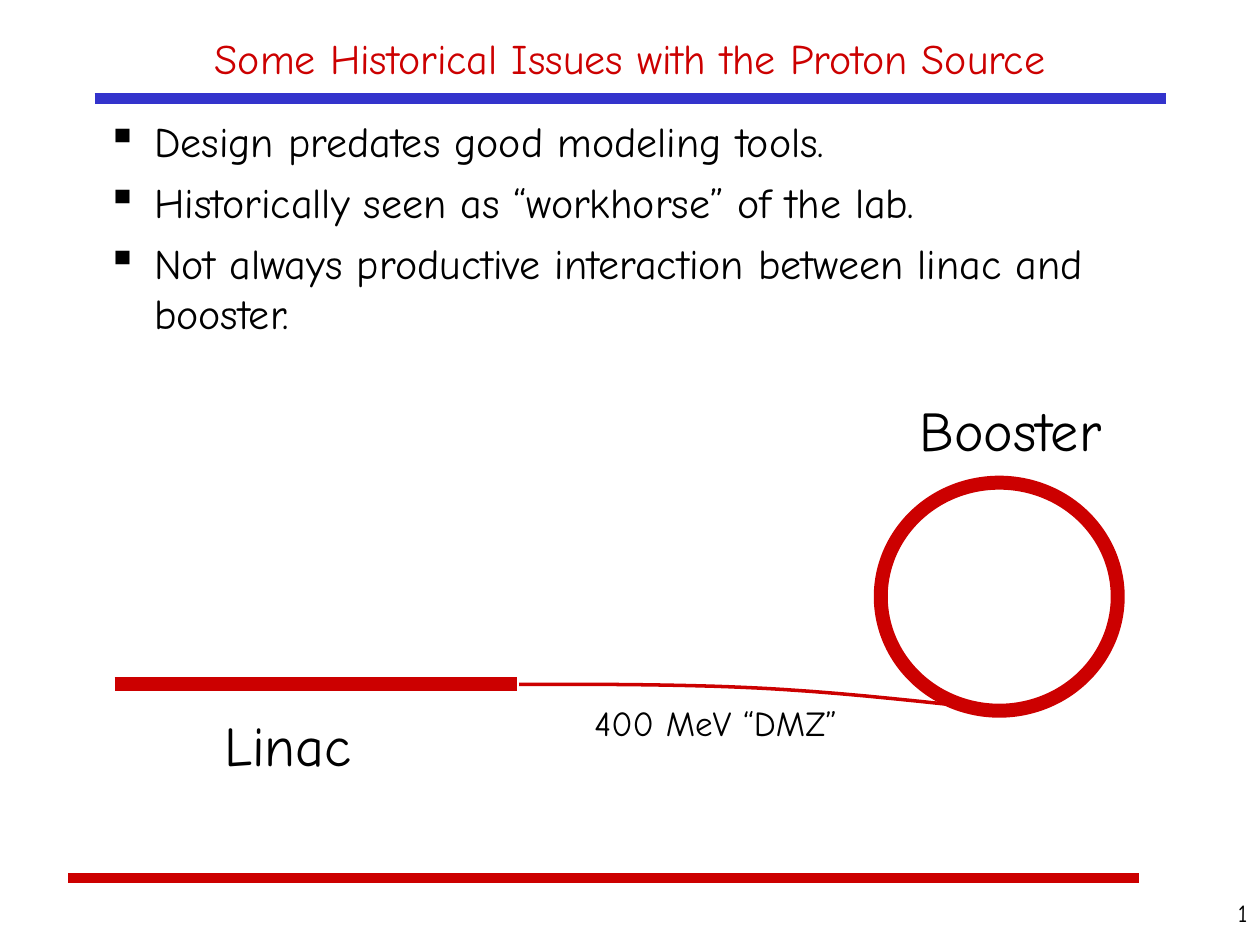
from typing import NamedTuple

from lxml import etree
from pptx import Presentation
from pptx.dml.color import RGBColor
from pptx.enum import shapes, text
from pptx.oxml import ns
from pptx.util import Pt

FONT = "Comic Neue"
RED, BLUE, BLACK = "CC0000", "3333CC", "000000"


class Bar(NamedTuple):
    left: float
    y: float
    right: float
    color: str
    weight: float


class Label(NamedTuple):
    words: str
    left: float
    top: float
    width: float
    height: float
    size: float


class Point(NamedTuple):
    x: float
    y: float


BARS = [
    Bar(38.9, 501.8, 650.9, RED, 6),   # footer rule
    Bar(54, 56.2, 666, BLUE, 6),       # title rule
    Bar(65.5, 391, 295.2, RED, 8),     # linac
]
LABELS = [
    Label("Linac", 121, 402.5, 95, 46, 32),
    Label("Booster", 518.4, 222.5, 142, 46, 32),
    Label("400 MeV “DMZ”", 332.6, 397.4, 170, 31.7, 20),
]
ISSUES = [
    "Design predates good modeling tools.",
    "Historically seen as “workhorse” of the lab.",
    "Not always productive interaction between linac and booster.",
]
# Each transfer-line section is a cubic curve: start, two controls, end
TRANSFER_LINE = [
    (Point(296.6, 391), Point(342.7, 391), Point(388.8, 391), Point(432, 393.1)),
    (Point(432, 393.1), Point(475.2, 395.3), Point(514.8, 399.6), Point(555.1, 403.9)),
]


def rgb(color: str) -> RGBColor:
    return RGBColor.from_string(color)


def set_line(shape, color: str, weight: float) -> None:
    shape.line.color.rgb = rgb(color)
    shape.line.width = Pt(weight)


def add_bullet(paragraph, char: str, indent: float) -> None:
    props = paragraph._p.get_or_add_pPr()
    props.set("marL", str(Pt(indent)))
    props.set("indent", str(-Pt(indent)))
    etree.SubElement(props, ns.qn("a:buChar")).set("char", char)


def add_text(slide, words: list[str], left: float, top: float, width: float,
             height: float, *, size: float, color: str = BLACK,
             align=text.PP_ALIGN.LEFT, anchor=text.MSO_ANCHOR.TOP,
             bullet: str = "", gap: float = 0) -> None:
    box = slide.shapes.add_textbox(Pt(left), Pt(top), Pt(width), Pt(height))
    frame = box.text_frame
    frame.word_wrap = True
    frame.vertical_anchor = anchor
    for index, line in enumerate(words):
        paragraph = frame.add_paragraph() if index else frame.paragraphs[0]
        paragraph.text = line
        paragraph.alignment = align
        if index:
            paragraph.space_before = Pt(gap)
        if bullet:
            add_bullet(paragraph, bullet, 27)
        paragraph.font.name = FONT
        paragraph.font.size = Pt(size)
        paragraph.font.color.rgb = rgb(color)


def add_bar(slide, bar: Bar) -> None:
    line = slide.shapes.add_connector(
        shapes.MSO_CONNECTOR.STRAIGHT,
        Pt(bar.left), Pt(bar.y), Pt(bar.right), Pt(bar.y))
    set_line(line, bar.color, bar.weight)
    etree.SubElement(line._element.spPr, ns.qn("a:effectLst"))


def curve_point(section: tuple[Point, ...], t: float) -> tuple[int, int]:
    weights = ((1 - t) ** 3, 3 * t * (1 - t) ** 2, 3 * t ** 2 * (1 - t), t ** 3)
    return (Pt(sum(w * p.x for w, p in zip(weights, section))),
            Pt(sum(w * p.y for w, p in zip(weights, section))))


def add_transfer_line(slide, steps: int = 16) -> None:
    start = TRANSFER_LINE[0][0]
    builder = slide.shapes.build_freeform(Pt(start.x), Pt(start.y))
    builder.add_line_segments(
        [curve_point(section, step / steps)
         for section in TRANSFER_LINE for step in range(1, steps + 1)],
        close=False)
    beam = builder.convert_to_shape()
    beam.shadow.inherit = False
    beam.fill.background()
    set_line(beam, RED, 2)
    etree.SubElement(beam.line._get_or_add_ln(), ns.qn("a:tailEnd")).set("type", "triangle")


def add_booster(slide) -> None:
    ring = slide.shapes.add_shape(
        shapes.MSO_SHAPE.OVAL, Pt(503.3), Pt(275.8), Pt(135.4), Pt(130.3))
    ring.shadow.inherit = False
    ring.fill.background()
    set_line(ring, RED, 8)


def main() -> None:
    deck = Presentation()
    deck.slide_width, deck.slide_height = Pt(720), Pt(540)
    slide = deck.slides.add_slide(deck.slide_layouts[6])

    # Title and issues
    add_text(slide, ["Some Historical Issues with the Proton Source"],
             54, 12.2, 612, 41.8, size=24, color=RED,
             align=text.PP_ALIGN.CENTER, anchor=text.MSO_ANCHOR.MIDDLE)
    add_text(slide, ISSUES, 54, 62.6, 612, 153.4, size=24, bullet="▪", gap=6)

    # Rules and accelerator diagram
    for bar in BARS:
        add_bar(slide, bar)
    add_booster(slide)
    add_transfer_line(slide)
    for label in LABELS:
        add_text(slide, [label.words], label.left, label.top,
                 label.width, label.height, size=label.size)

    # Page number
    add_text(slide, ["1"], 653.8, 509.8, 66.2, 30.2, size=14,
             align=text.PP_ALIGN.RIGHT)

    deck.save("out.pptx")


if __name__ == "__main__":
    main()
